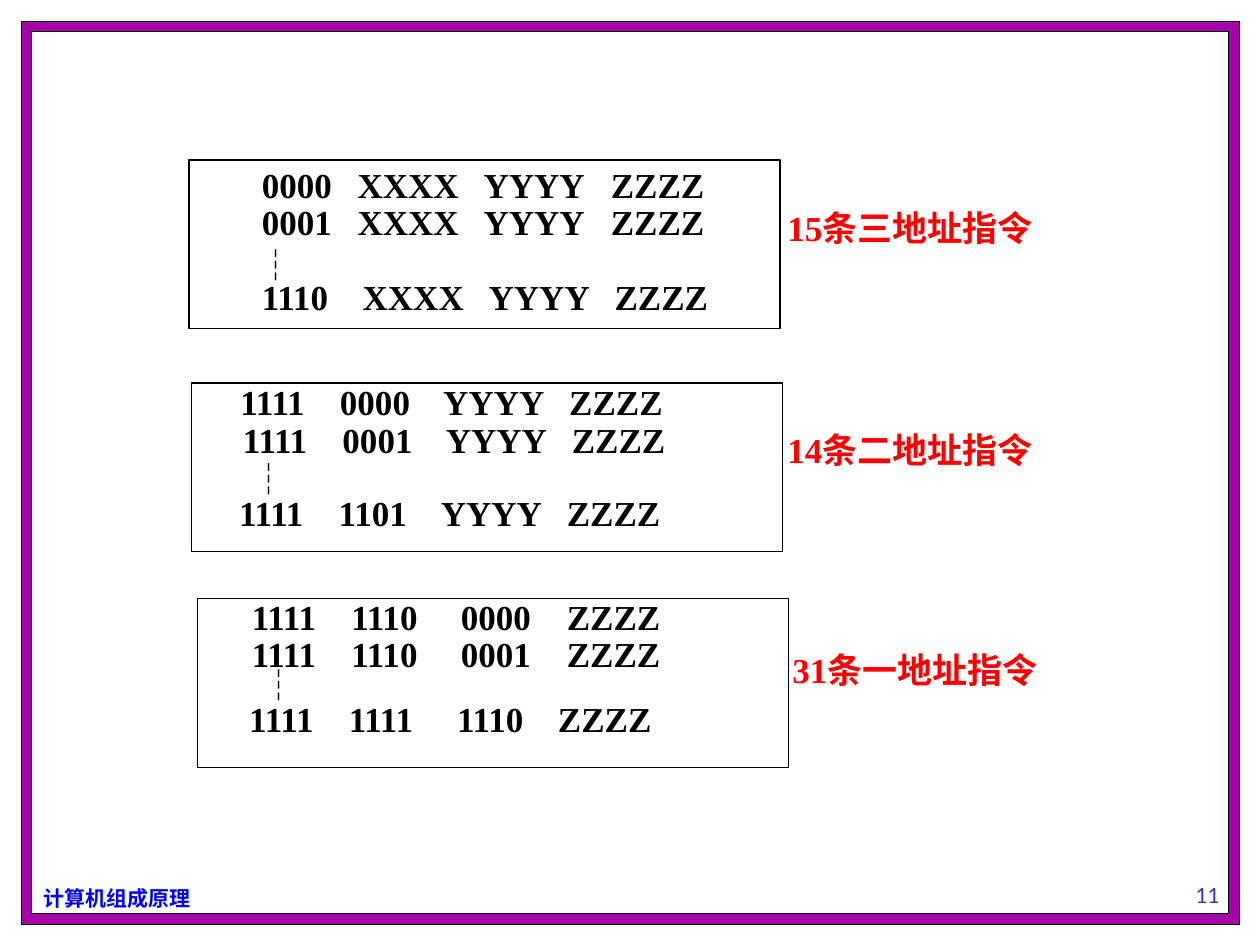
from pptx import Presentation
from pptx.dml.color import RGBColor
from pptx.enum.shapes import MSO_SHAPE
from pptx.enum.text import MSO_ANCHOR, PP_ALIGN
from pptx.oxml.ns import qn
from pptx.util import Inches, Pt
from lxml import etree

RECT = MSO_SHAPE.RECTANGLE
LEFT, CENTER = PP_ALIGN.LEFT, PP_ALIGN.CENTER
TOP, BOTTOM = MSO_ANCHOR.TOP, MSO_ANCHOR.BOTTOM

BLACK = RGBColor(0, 0, 0)
WHITE = RGBColor(255, 255, 255)
PURPLE = RGBColor(0xA6, 0x03, 0xAB)
RED = RGBColor(255, 0, 0)
BLUE = RGBColor(0, 0, 255)
INDIGO = RGBColor(0x33, 0x33, 0xCC)

SERIF = "Times New Roman"
HAN = "Noto Sans CJK SC"
SANS = "Lato"

GROUPS = [
    {
        "box": (1.5, 1.27),
        "label": (6.15, 1.59, "15条三地址指令"),
        "dots": (1.95, 1.88),
        "rows": [
            (1.98, 1.25, "0000 XXXX YYYY ZZZZ", (0.76, 1.76, 2.77)),
            (1.98, 1.54, "0001 XXXX YYYY ZZZZ", (0.76, 1.76, 2.77)),
            (1.98, 2.14, "1110 XXXX YYYY ZZZZ", (0.8, 1.8, 2.8)),
        ],
    },
    {
        "box": (1.52, 3.04),
        "label": (6.15, 3.35, "14条二地址指令"),
        "dots": (1.9, 3.58),
        "rows": [
            (1.81, 2.97, "1111 0000 YYYY ZZZZ", (0.79, 1.61, 2.61)),
            (1.83, 3.27, "1111 0001 YYYY ZZZZ", (0.79, 1.61, 2.61)),
            (1.8, 3.85, "1111 1101 YYYY ZZZZ", (0.79, 1.6, 2.6)),
        ],
    },
    {
        "box": (1.57, 4.75),
        "label": (6.19, 5.1, "31条一地址指令"),
        "dots": (1.98, 5.22),
        "rows": [
            (1.9, 4.68, "1111 1110 0000 ZZZZ", (0.79, 1.66, 2.5)),
            (1.9, 4.97, "1111 1110 0001 ZZZZ", (0.79, 1.66, 2.5)),
            (1.88, 5.49, "1111 1111 1110 ZZZZ", (0.79, 1.65, 2.45)),
        ],
    },
]


def add_box(slide, left, top, width, height, fill=WHITE):
    box = slide.shapes.add_shape(
        RECT, Inches(left), Inches(top), Inches(width), Inches(height))
    box.shadow.inherit = False
    box.fill.solid()
    box.fill.fore_color.rgb = fill
    box.line.color.rgb = BLACK
    box.line.width = Pt(0.75)


def add_tabs(para, stops):
    tabs = etree.SubElement(para._p.get_or_add_pPr(), qn("a:tabLst"))
    for stop in stops:
        etree.SubElement(tabs, qn("a:tab"), pos=str(Inches(stop)), algn="l")


def add_text(slide, left, top, width, height, text, color, font=SERIF,
             size=20, bold=True, align=LEFT, anchor=TOP, stops=()):
    frame = slide.shapes.add_textbox(
        Inches(left), Inches(top), Inches(width), Inches(height)).text_frame
    frame.word_wrap = True
    frame.vertical_anchor = anchor
    para = frame.paragraphs[0]
    para.text = text
    para.alignment = align
    if stops:
        add_tabs(para, stops)
    para.font.name = font
    para.font.size = Pt(size)
    para.font.bold = bold
    para.font.color.rgb = color
    style = para._p.pPr.find(qn("a:defRPr"))
    etree.SubElement(style, qn("a:ea"), typeface=HAN)


def add_group(slide, group):
    add_box(slide, *group["box"], 4.69, 1.34)
    left, top, label = group["label"]
    add_text(slide, left, top, 2.8, 0.62, label, RED)
    for left, top, words, stops in group["rows"]:
        add_text(slide, left, top, 4.2, 0.56, "\t".join(words.split()),
                 BLACK, stops=stops)
    add_text(slide, *group["dots"], 4.2, 0.56, "┆", BLACK, HAN)


def main():
    deck = Presentation()
    deck.slide_width = Inches(10)
    deck.slide_height = Inches(7.5)
    slide = deck.slides.add_slide(deck.slide_layouts[6])
    add_box(slide, 0.17, 0.17, 9.67, 7.17, PURPLE)
    add_box(slide, 0.25, 0.25, 9.5, 7)
    add_text(slide, 0.25, 6.98, 1.6, 0.3, "计算机组成原理", BLUE, HAN, 12)
    add_text(slide, 8.67, 6.75, 1.83, 0.5, "11", INDIGO, SANS, 12,
             bold=False, align=CENTER, anchor=BOTTOM)
    for group in GROUPS:
        add_group(slide, group)
    deck.save("out.pptx")


if __name__ == "__main__":
    main()
